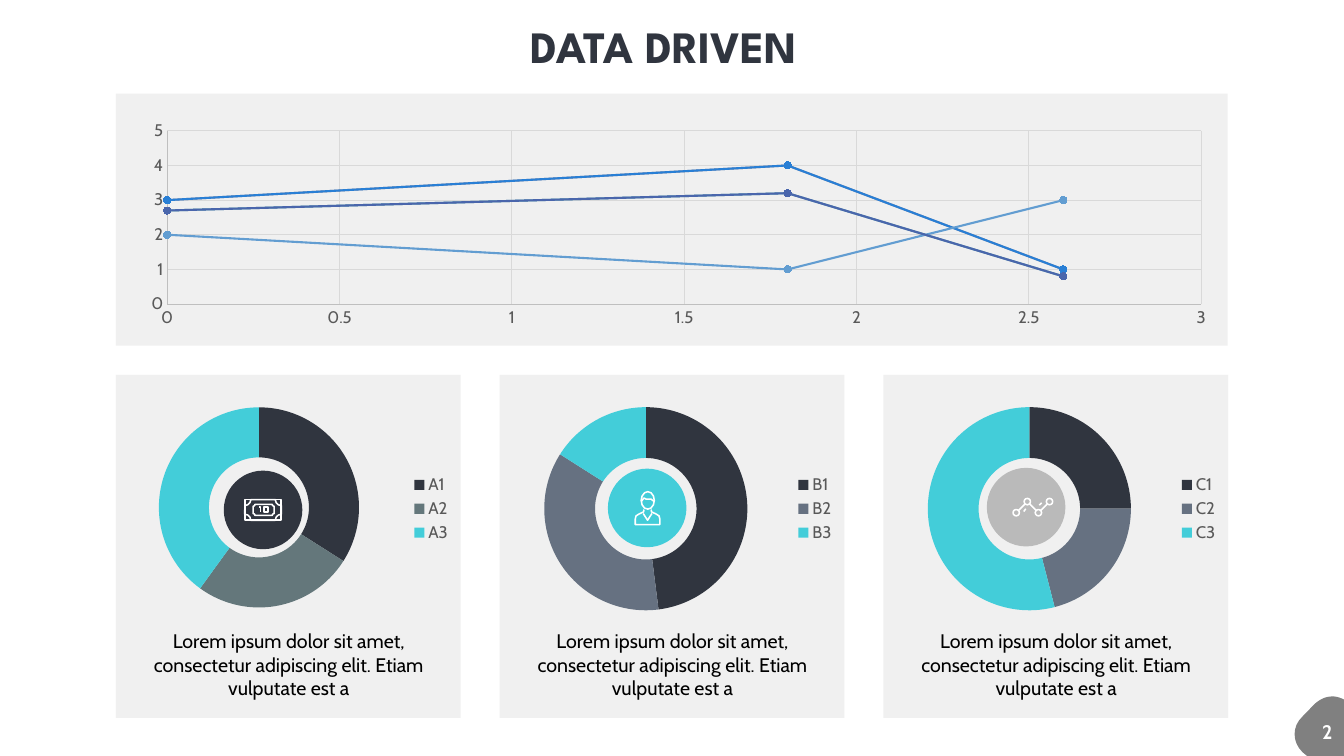
from dataclasses import dataclass
from typing import Callable

from lxml import etree
from pptx import Presentation
from pptx import util as u
from pptx.chart import data as chart_data
from pptx.dml import color
from pptx.enum import chart as chart_enum, shapes, text
from pptx.oxml import parse_xml
from pptx.oxml.ns import nsdecls, qn

COLOURS = {
    "ink": "30353F", "panel": "CFCFCF", "cyan": "43CDD9", "slate": "667181",
    "moss": "64777B", "silver": "BABABA", "corner": "808080", "label": "595959",
    "axis": "BFBFBF", "grid": "D9D9D9", "white": "FFFFFF", "black": "000000",
    "series 1": "4A66AC", "series 2": "629DD1", "series 3": "297FD5",
    "series 4": "5AA2AE", "series 5": "9D90A0",
}
BODY_FONT = "Cabin"
CAPTION = "Lorem ipsum dolor sit amet, consectetur adipiscing elit. Etiam vulputate est a"
ICON_LINE = u.Pt(1.1)
BADGE_SIZE = 1.98
CARD_TOP, CARD_STEP, MARGIN = 9.45, 9.67, 2.92

Point = tuple[float, float]


@dataclass
class Card:
    letter: str
    values: tuple[int, ...]
    colours: tuple[str, ...]
    badge: Point
    badge_colour: str
    draw_icon: Callable
    plot_layout: tuple[float, ...] = ()


def rgb(name: str) -> color.RGBColor:
    return color.RGBColor.from_string(COLOURS[name])


def set_font(font, size: float, colour: str, name: str = BODY_FONT, bold: bool = False) -> None:
    font.name, font.size, font.bold = name, u.Pt(size), bold
    font.color.rgb = rgb(colour)


def fill_shape(shape, colour: str) -> None:
    shape.shadow.inherit = False
    shape.fill.solid()
    shape.fill.fore_color.rgb = rgb(colour)
    shape.line.fill.background()


def outline_shape(shape) -> None:
    shape.shadow.inherit = False
    shape.fill.background()
    shape.line.color.rgb = rgb("white")
    shape.line.width = ICON_LINE


def add_preset(slide, kind, left: float, top: float, width: float, height: float):
    return slide.shapes.add_shape(kind, u.Cm(left), u.Cm(top), u.Cm(width), u.Cm(height))


def add_panel(slide, left: float, top: float, width: float, height: float) -> None:
    panel = add_preset(slide, shapes.MSO_SHAPE.RECTANGLE, left, top, width, height)
    fill_shape(panel, "panel")
    solid = panel._element.spPr.find(qn("a:solidFill"))
    etree.SubElement(solid[0], qn("a:alpha"), val="30000")


def add_outline(slide, points: list[Point], closed: bool):
    corners = [(u.Cm(x), u.Cm(y)) for x, y in points]
    builder = slide.shapes.build_freeform(*corners[0])
    builder.add_line_segments(corners[1:], close=closed)
    return builder.convert_to_shape()


def add_stroke(slide, origin: Point, points: list[Point]) -> None:
    placed = [(origin[0] + x, origin[1] + y) for x, y in points]
    outline_shape(add_outline(slide, placed, closed=False))


def add_icon_line(slide, origin: Point, start: Point, end: Point) -> None:
    ends = [u.Cm(origin[axis] + point[axis]) for point in (start, end) for axis in (0, 1)]
    line = slide.shapes.add_connector(shapes.MSO_CONNECTOR.STRAIGHT, *ends)
    line.line.color.rgb = rgb("white")
    line.line.width = ICON_LINE
    etree.SubElement(line._element.spPr, qn("a:effectLst"))


def draw_banknote(slide, origin: Point) -> None:
    x, y = origin
    kinds = shapes.MSO_SHAPE
    frame, centre, zero = (0.53, 0.73, 0.92, 0.52), (0.74, 0.85, 0.53, 0.28), (1.02, 0.91, 0.09, 0.14)
    for kind, box, notch in ((kinds.RECTANGLE, frame, None), (kinds.PLAQUE, frame, 0.29),
                             (kinds.PLAQUE, centre, 0.17), (kinds.RECTANGLE, zero, None)):
        part = add_preset(slide, kind, x + box[0], y + box[1], *box[2:])
        if notch:
            part.adjustments[0] = notch
        outline_shape(part)
    add_stroke(slide, origin, [(0.89, 0.91), (0.93, 0.91), (0.93, 1.05)])


def draw_person(slide, origin: Point) -> None:
    head = add_preset(slide, shapes.MSO_SHAPE.OVAL, origin[0] + 0.84, origin[1] + 0.58, 0.33, 0.44)
    outline_shape(head)
    add_stroke(slide, origin, [(0.84, 0.83), (0.91, 0.74), (0.97, 0.77), (1.09, 0.77), (1.17, 0.83)])
    shoulder = [(0.91, 1.03), (0.9, 1.09), (0.79, 1.14), (0.71, 1.19), (0.69, 1.27), (0.69, 1.41)]
    add_stroke(slide, origin, shoulder + [(2 - x, y) for x, y in reversed(shoulder)])
    add_stroke(slide, origin, [(0.89, 1.13), (1, 1.3), (1.11, 1.13)])


def draw_trend(slide, origin: Point) -> None:
    radius, gap = 0.08, 0.06
    nodes = [(0.74 + 0.28 * i, 0.85 if i % 2 else 1.13) for i in range(4)]
    for x, y in nodes:
        outline_shape(add_preset(slide, shapes.MSO_SHAPE.OVAL, origin[0] + x - radius,
                                 origin[1] + y - radius, 2 * radius, 2 * radius))
    for (x1, y1), (x2, y2) in zip(nodes, nodes[1:]):
        drop = gap if y2 > y1 else -gap
        add_icon_line(slide, origin, (x1 + gap, y1 + drop), (x2 - gap, y2 - drop))
    add_icon_line(slide, origin, (0.93, 1.1), (0.98, 1.03))
    add_icon_line(slide, origin, (1.32, 0.94), (1.38, 0.88))


def add_text(slide, words: str, box: tuple[float, ...], bold: bool = False,
             colour: str = "black", centred: bool = True) -> None:
    text_box = slide.shapes.add_textbox(*map(u.Cm, box))
    frame = text_box.text_frame
    frame.word_wrap = centred
    paragraph = frame.paragraphs[0]
    if centred:
        frame.margin_left = frame.margin_right = frame.margin_top = frame.margin_bottom = 0
        paragraph.alignment = text.PP_ALIGN.CENTER
    run = paragraph.add_run()
    run.text = words
    set_font(run.font, 14, colour, bold=bold)


def add_chart(slide, kind, box: tuple[float, ...], data, layout: tuple[float, ...]):
    """Add a clear-backed chart; layout gives the inner plot as shares of the chart."""
    chart = slide.shapes.add_chart(kind, *map(u.Cm, box), data).chart
    chart.has_title = False
    chart.has_legend = False
    set_font(chart.font, 10, "black")
    root = chart._chartSpace
    plot_area = root.chart.plotArea
    clear = f"<c:spPr {nsdecls('c', 'a')}><a:noFill/><a:ln><a:noFill/></a:ln></c:spPr>"
    root.chart.addnext(parse_xml(clear))
    plot_area.append(parse_xml(clear))
    if layout:
        for old in plot_area.findall(qn("c:layout")):
            plot_area.remove(old)
        settings = [("layoutTarget", "inner"), ("xMode", "edge"), ("yMode", "edge")]
        settings += zip("xywh", layout)
        parts = "".join(f'<c:{tag} val="{value}"/>' for tag, value in settings)
        plot_area.insert(0, parse_xml(
            f"<c:layout {nsdecls('c')}><c:manualLayout>{parts}</c:manualLayout></c:layout>"))
    return chart


def add_curves(slide) -> None:
    data = chart_data.XyChartData()
    rows = [(2.7, 3.2, 0.8), (2, 1, 3), (3, 4, 1), (2.7, 3.2, 0.8), (3, 4, 1)]
    for number, values in enumerate(rows, 1):
        series = data.add_series(f"Series {number}")
        for x, y in zip((0, 1.8, 2.6), values):
            series.add_data_point(x, y)
    chart = add_chart(slide, chart_enum.XL_CHART_TYPE.XY_SCATTER_SMOOTH,
                      (3.2, 2.77, 27.43, 5.92), data, (0.037, 0.089, 0.95, 0.738))
    for axis, top, step in ((chart.category_axis, 3, 0.5), (chart.value_axis, 5, 1)):
        axis.minimum_scale, axis.maximum_scale, axis.major_unit = 0, top, step
        axis.major_tick_mark = axis.minor_tick_mark = chart_enum.XL_TICK_MARK.NONE
        axis.has_major_gridlines = True
        set_font(axis.tick_labels.font, 12, "label")
        for line, colour in ((axis.format.line, "axis"), (axis.major_gridlines.format.line, "grid")):
            line.color.rgb, line.width = rgb(colour), u.Pt(0.75)
    for series in chart.plots[0].series:
        colour = rgb(series.name.lower())
        series.smooth = True
        series.format.line.color.rgb, series.format.line.width = colour, u.Pt(1.5)
        series.marker.style, series.marker.size = chart_enum.XL_MARKER_STYLE.CIRCLE, 5
        series.marker.format.fill.solid()
        series.marker.format.fill.fore_color.rgb = colour
        series.marker.format.line.color.rgb = colour


def add_card(slide, card: Card, left: float) -> None:
    add_panel(slide, left, CARD_TOP, 8.69, 8.64)
    data = chart_data.CategoryChartData()
    data.categories = [f"{card.letter}{number}" for number in (1, 2, 3)]
    data.add_series("Series 1", card.values)
    chart = add_chart(slide, chart_enum.XL_CHART_TYPE.DOUGHNUT,
                      (left - 0.02, 9.91, 8.74, 5.82), data, card.plot_layout)
    chart.has_legend = True
    chart.legend.position = chart_enum.XL_LEGEND_POSITION.RIGHT
    chart.legend.include_in_layout = False
    set_font(chart.legend.font, 12, "label")
    plot = chart.plots[0]
    plot.vary_by_categories = True
    plot._element.find(qn("c:holeSize")).set("val", "75")
    for index, colour in enumerate(card.colours):
        slice_format = plot.series[0].points[index].format
        slice_format.fill.solid()
        slice_format.fill.fore_color.rgb = rgb(colour)
        slice_format.line.fill.background()
    badge = add_preset(slide, shapes.MSO_SHAPE.OVAL, *card.badge, BADGE_SIZE, BADGE_SIZE)
    fill_shape(badge, card.badge_colour)
    card.draw_icon(slide, card.badge)
    add_text(slide, CAPTION, (left + 0.64, 15.85, 7.44, 1.8))


def bezier(start: Point, pull: Point, push: Point, end: Point) -> list[Point]:
    steps = [i / 8 for i in range(9)]
    return [tuple((1 - t) ** 3 * a + 3 * t * (1 - t) ** 2 * b + 3 * t * t * (1 - t) * c + t ** 3 * d
                  for a, b, c, d in zip(start, pull, push, end)) for t in steps]


def add_page_corner(slide) -> None:
    points = [(33.87, 17.63), (33.87, 19.05), (32.94, 19.05)]
    points += bezier((32.82, 18.95), (32.56, 18.69), (32.56, 18.31), (32.82, 18.06))
    points += bezier((33.12, 17.75), (33.25, 17.63), (33.4, 17.55), (33.58, 17.55))
    points += bezier((33.58, 17.55), (33.66, 17.55), (33.73, 17.57), (33.81, 17.6))[1:]
    fill_shape(add_outline(slide, points, closed=True), "corner")
    add_text(slide, "2", (33.07, 18.01, 0.76, 0.86), bold=True, colour="white", centred=False)


def add_title(slide) -> None:
    title = slide.shapes.title
    title.left, title.top, title.width, title.height = map(u.Cm, (12.93, 0.46, 7.62, 1.37))
    frame = title.text_frame
    frame.margin_left = frame.margin_right = frame.margin_top = frame.margin_bottom = 0
    frame.word_wrap = False
    frame.auto_size = text.MSO_AUTO_SIZE.NONE
    frame.vertical_anchor = text.MSO_ANCHOR.TOP
    paragraph = frame.paragraphs[0]
    paragraph.alignment = text.PP_ALIGN.CENTER
    run = paragraph.add_run()
    run.text = "DATA DRIVEN"
    set_font(run.font, 32, "ink", "League Spartan", bold=True)


def main() -> None:
    presentation = Presentation()
    presentation.slide_width, presentation.slide_height = u.Cm(33.87), u.Cm(19.05)
    slide = presentation.slides.add_slide(presentation.slide_layouts[5])
    add_title(slide)
    add_panel(slide, MARGIN, 2.36, 28.02, 6.35)
    add_curves(slide)
    cards = [
        Card("A", (34, 26, 40), ("ink", "moss", "cyan"), (5.64, 11.86), "ink", draw_banknote,
             (0.126, 0.061, 0.578, 0.867)),
        Card("B", (48, 36, 16), ("ink", "slate", "cyan"), (15.32, 11.81), "cyan", draw_person),
        Card("C", (25, 21, 54), ("ink", "slate", "cyan"), (24.87, 11.79), "silver", draw_trend),
    ]
    for index, card in enumerate(cards):
        add_card(slide, card, MARGIN + CARD_STEP * index)
    add_page_corner(slide)
    presentation.save("out.pptx")


if __name__ == "__main__":
    main()
